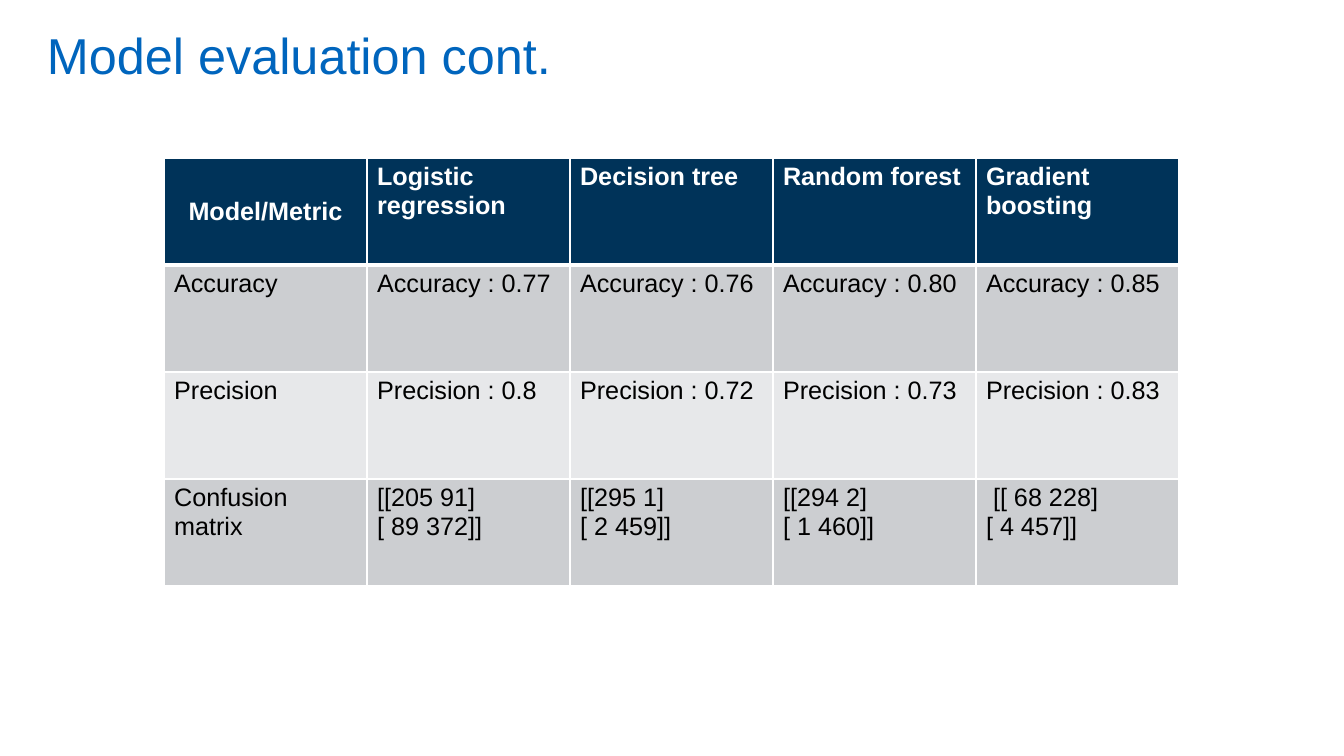
from lxml.etree import SubElement as Sub
from pptx import Presentation
from pptx.dml.color import RGBColor as RGB
from pptx.enum.text import MSO_ANCHOR as Anchor, PP_ALIGN as Align
from pptx.oxml.ns import qn
from pptx.util import Pt

TITLE = "Model evaluation cont."
ROWS = [
    ["Model/Metric", "Logistic regression", "Decision tree", "Random forest", "Gradient boosting"],
    ["Accuracy", "Accuracy : 0.77", "Accuracy : 0.76", "Accuracy : 0.80", "Accuracy : 0.85"],
    ["Precision", "Precision : 0.8", "Precision : 0.72", "Precision : 0.73", "Precision : 0.83"],
    ["Confusion matrix", "[[205 91]\n[ 89 372]]", "[[295 1]\n[ 2 459]]",
     "[[294 2]\n[ 1 460]]", " [[ 68 228]\n[ 4 457]]"],
]

FONT = "Arial"
BLUE = RGB(0x00, 0x65, 0xBD)
NAVY = RGB(0x00, 0x33, 0x59)
GREY = RGB(0xCC, 0xCE, 0xD1)
PALE = RGB(0xE7, 0xE8, 0xEA)
WHITE = RGB(0xFF, 0xFF, 0xFF)
BLACK = RGB(0x00, 0x00, 0x00)

COL_W, ROW_H = 203, 107


def px(n):
    return round(n * 914400 / 100.8)


def style(frame, size, color, bold=False):
    for par in frame.paragraphs:
        for run in par.runs:
            font = run.font
            font.name, font.size, font.bold = FONT, Pt(size), bold
            font.color.rgb = color


def border(cell, side, width):
    line = Sub(cell._tc.get_or_add_tcPr(), qn("a:" + side), w=str(Pt(width)))
    Sub(Sub(line, qn("a:solidFill")), qn("a:srgbClr"), val=str(WHITE))


def add_title(slide):
    frame = slide.shapes.add_textbox(px(37), px(5), px(1167), px(80)).text_frame
    frame.word_wrap = True
    frame.margin_top = frame.margin_bottom = 0
    frame.vertical_anchor = Anchor.BOTTOM
    frame.text = TITLE
    style(frame, 36, BLUE)


def add_grid(slide):
    rows, cols = len(ROWS), len(ROWS[0])
    table = slide.shapes.add_table(
        rows, cols, px(164), px(158), px(cols * COL_W), px(rows * ROW_H)).table
    for col in table.columns:
        col.width = px(COL_W)
    for r, texts in enumerate(ROWS):
        head = r == 0
        table.rows[r].height = px(ROW_H)
        for c, text in enumerate(texts):
            cell = table.cell(r, c)
            cell.text = text
            border(cell, "lnL", 1)
            border(cell, "lnR", 1)
            if head:
                border(cell, "lnT", 1)
            border(cell, "lnB", 3 if head else 1)
            cell.fill.solid()
            cell.fill.fore_color.rgb = NAVY if head else GREY if r % 2 else PALE
            style(cell.text_frame, 18, WHITE if head else BLACK, head)
    corner = table.cell(0, 0)
    corner.vertical_anchor = Anchor.MIDDLE
    corner.text_frame.paragraphs[0].alignment = Align.CENTER


def main():
    deck = Presentation()
    deck.slide_width, deck.slide_height = px(1344), px(756)
    slide = deck.slides.add_slide(deck.slide_layouts[6])
    add_title(slide)
    add_grid(slide)
    deck.save("out.pptx")


if __name__ == "__main__":
    main()
